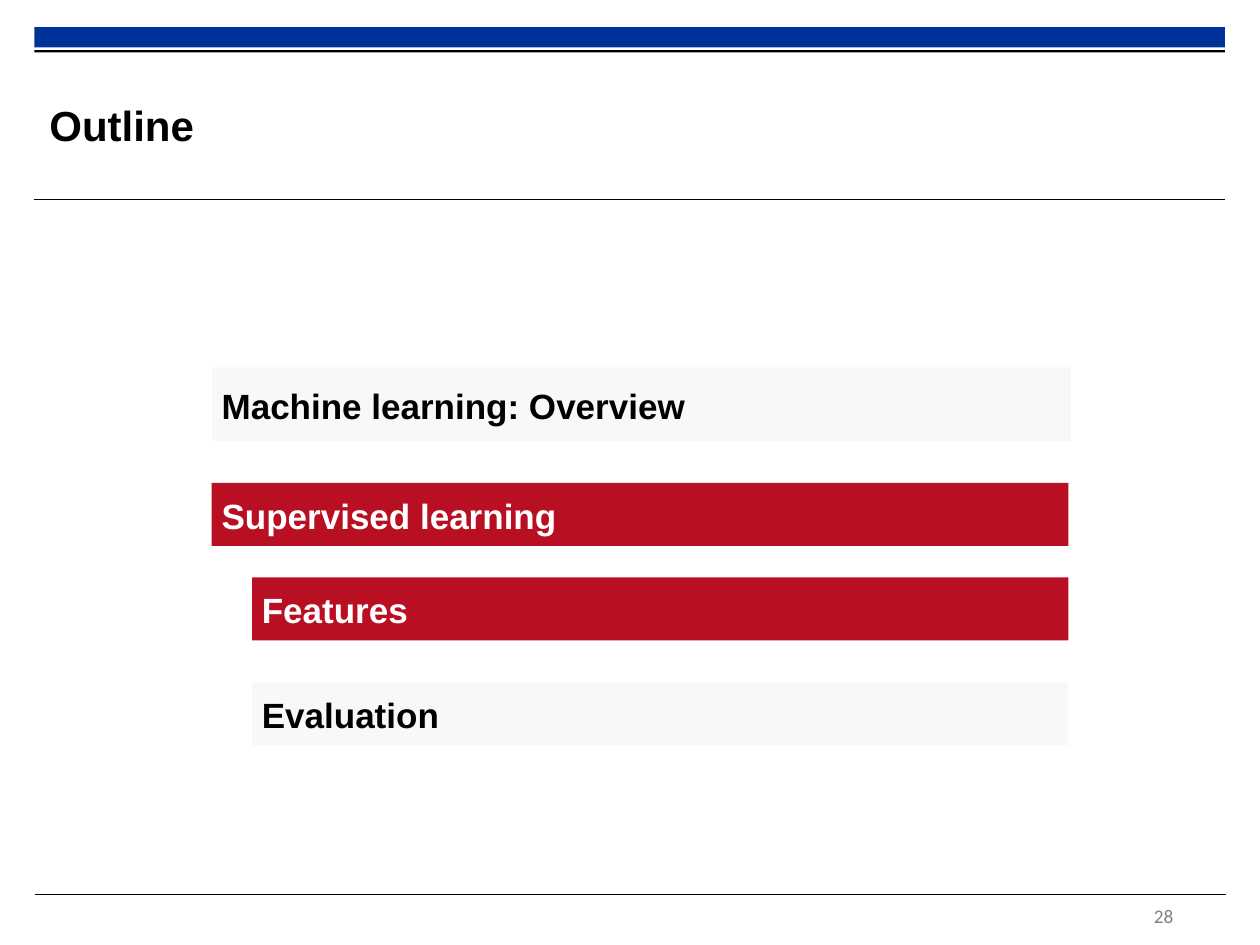
from lxml import etree
from pptx import Presentation
from pptx.dml.color import RGBColor
from pptx.enum.shapes import MSO_CONNECTOR, MSO_SHAPE
from pptx.enum.text import MSO_ANCHOR, PP_ALIGN
from pptx.oxml.ns import qn
from pptx.util import Pt

RECTANGLE = MSO_SHAPE.RECTANGLE
STRAIGHT = MSO_CONNECTOR.STRAIGHT
MIDDLE = MSO_ANCHOR.MIDDLE
LEFT = PP_ALIGN.LEFT

THEME = {
    "blue": RGBColor(0x00, 0x33, 0x99),
    "red": RGBColor(0xB9, 0x0F, 0x22),
    "pale": RGBColor(0xF8, 0xF8, 0xF8),
    "black": RGBColor(0x00, 0x00, 0x00),
    "white": RGBColor(0xFF, 0xFF, 0xFF),
    "grey": RGBColor(0x80, 0x80, 0x80),
    "title": {"name": "Arial", "size": Pt(24), "bold": True},
    "topic": {"name": "Arial", "size": Pt(20), "bold": True},
    "number": {"name": "Calibri", "size": Pt(11), "bold": False},
}


def add_bar(left, top, width, height, color):
    bar = page.shapes.add_shape(RECTANGLE, Pt(left), Pt(top), Pt(width), Pt(height))
    bar.shadow.inherit = False
    bar.fill.solid()
    bar.fill.fore_color.rgb = THEME[color]
    bar.line.fill.background()
    return bar


def write_text(box, text, style, color, insets):
    frame = box.text_frame
    frame.word_wrap = True
    frame.vertical_anchor = MIDDLE
    for side, inset in zip(("left", "top", "right", "bottom"), insets):
        setattr(frame, f"margin_{side}", Pt(inset))
    para = frame.paragraphs[0]
    para.alignment = LEFT
    span = para.add_run()
    span.text = text
    for name, value in THEME[style].items():
        setattr(span.font, name, value)
    span.font.color.rgb = THEME[color]


deck = Presentation()
deck.slide_width, deck.slide_height = Pt(720), Pt(540)
page = deck.slides.add_slide(deck.slide_layouts[5])

# Header band and its thin underline
add_bar(19.6, 15.6, 680.4, 11.5, "blue")
add_bar(19.6, 28.6, 680.4, 1.4, "black")

# Rules below the title and above the footer
for left, top in ((19.6, 114.2), (20, 511)):
    rule = page.shapes.add_connector(STRAIGHT, Pt(left), Pt(top), Pt(left + 680.4), Pt(top))
    rule.line.color.rgb = THEME["black"]
    rule.line.width = Pt(0.6)
    etree.SubElement(rule.element.spPr, qn("a:effectLst"))

# Title
title = page.shapes.title
title.left, title.top, title.width, title.height = Pt(28.2), Pt(38.2), Pt(512), Pt(66)
write_text(title, "Outline", "title", "black", (0, 0, 0, 0))

# Slide number
number = page.shapes.add_textbox(Pt(652.3), Pt(512), Pt(39.6), Pt(22.3))
write_text(number, "28", "number", "grey", (7.2, 3.6, 7.2, 3.6))

# Outline topics: current ones in red, subtopics indented
TOPICS = [
    ("Machine learning: Overview", 121, 210, 491, 42, "pale", "black"),
    ("Supervised learning", 121, 276, 489.5, 36, "red", "white"),
    ("Features", 144, 330, 466.5, 36, "red", "white"),
    ("Evaluation", 144, 390, 466.5, 36, "pale", "black"),
]
for text, left, top, width, height, fill, color in TOPICS:
    topic = add_bar(left, top, width, height, fill)
    write_text(topic, text, "topic", color, (5.6, 6.7, 5.6, 5.6))

deck.save("out.pptx")
